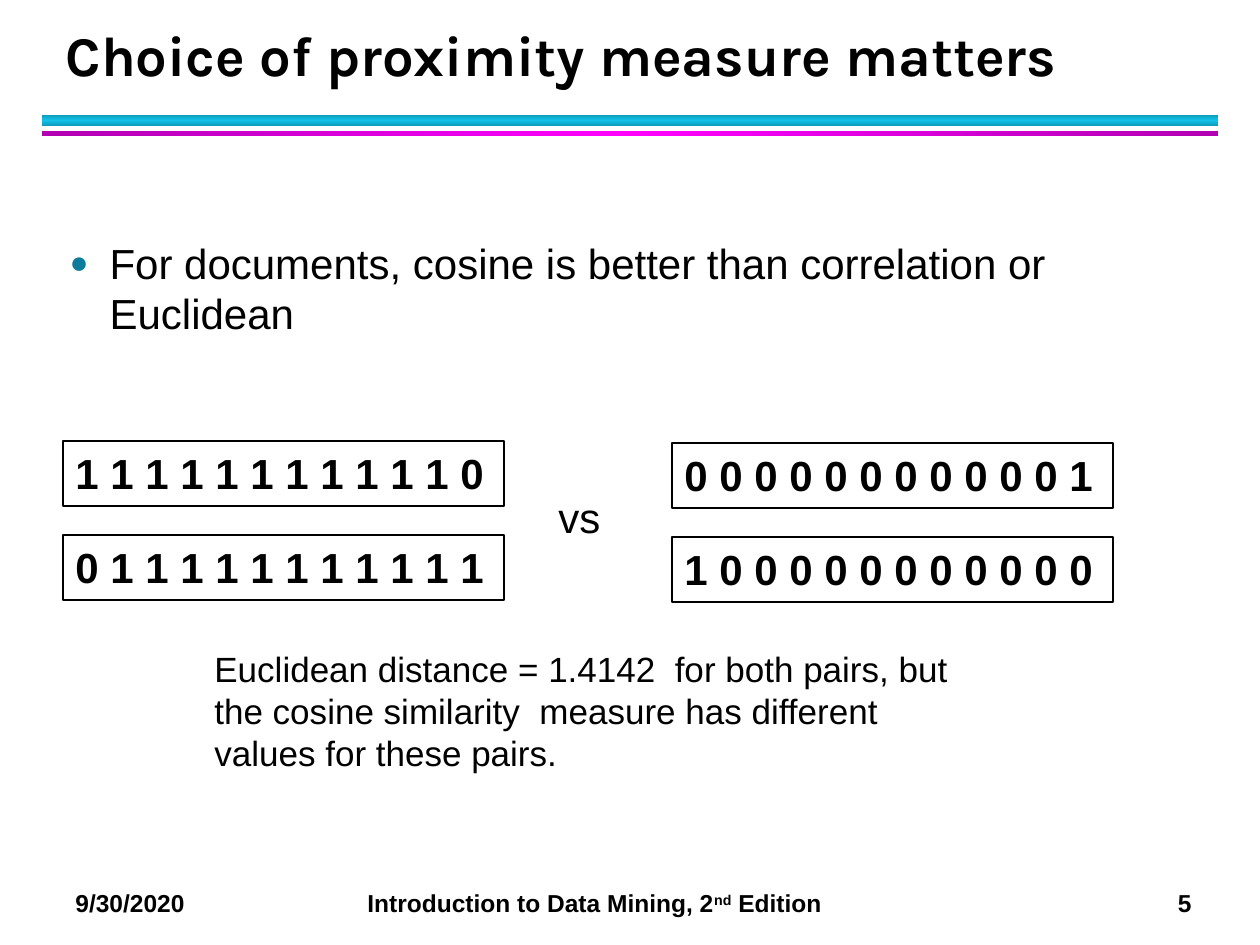
from lxml import etree
from pptx import Presentation
from pptx import util as u
from pptx.dml.color import RGBColor
from pptx.enum import shapes, text
from pptx.oxml import ns

# Content
TITLE = "Choice of proximity measure matters"
POINT = "For documents, cosine is better than correlation or Euclidean"
PAIRS = [  # left, top, the two vectors
    (63, 441, ["1 1 1 1 1 1 1 1 1 1 1 0", "0 1 1 1 1 1 1 1 1 1 1 1"]),
    (672, 443, ["0 0 0 0 0 0 0 0 0 0 0 1", "1 0 0 0 0 0 0 0 0 0 0 0"]),
]
NOTE = ("Euclidean distance = 1.4142  for both pairs, but the cosine similarity"
        "  measure has different values for these pairs.")
FOOTER = ["9/30/2020\tIntroduction to Data Mining, 2", "nd", " Edition\t5"]
FOOTER_TABS = [(292, "l"), (1116, "r")]

COLORS = {"ink": "000000", "bullet": "0C7B9C",
          "teal edge": "0E9BBA", "teal": "12C2E9",
          "magenta edge": "B200B2", "magenta": "FF00FF"}
RULES = [  # top, height, color, gradient angle
    (115, 11, "teal", 90),
    (131, 5, "magenta", 0),
]
VECTOR_SIZE, VECTOR_STEP = (441, 65), 94


def px(n):
    return u.Emu(n * 914400 // 126)


def color(name):
    return RGBColor.from_string(COLORS[name])


def add_xml(parent, tag, **attrs):
    return etree.SubElement(parent, ns.qn(tag), attrs)


def place(part, left, top, width, height):
    part.left, part.top = px(left), px(top)
    part.width, part.height = px(width), px(height)


def add_run(paragraph, words, size, bold=False, font="Arial"):
    run = paragraph.add_run()
    run.text = words
    run.font.size, run.font.bold, run.font.name = u.Pt(size), bold, font
    run.font.color.rgb = color("ink")
    return run


def first_paragraph(part):
    frame = part.text_frame
    frame.word_wrap = True
    frame.auto_size = text.MSO_AUTO_SIZE.NONE
    paragraph = frame.paragraphs[0]
    paragraph.alignment = text.PP_ALIGN.LEFT
    return paragraph


def add_label(slide, box, words, size):
    label = slide.shapes.add_textbox(*map(px, box))
    add_run(first_paragraph(label), words, size)


def add_rectangle(slide, *box):
    rectangle = slide.shapes.add_shape(shapes.MSO_SHAPE.RECTANGLE, *map(px, box))
    rectangle.shadow.inherit = False
    return rectangle


def add_rule(slide, top, height, name, angle):
    rule = add_rectangle(slide, 42, top, 1176, height)
    rule.line.fill.background()
    rule.fill.gradient()
    rule.fill.gradient_angle = angle
    stops = next(rule.element.iter(ns.qn("a:gsLst")))
    for stop in list(stops):
        stops.remove(stop)
    for position, shade in [(0, name + " edge"), (50, name), (100, name + " edge")]:
        stop = add_xml(stops, "a:gs", pos=str(position * 1000))
        add_xml(stop, "a:srgbClr", val=COLORS[shade])


def add_vector(slide, left, top, digits):
    vector = add_rectangle(slide, left, top, *VECTOR_SIZE)
    vector.fill.background()
    vector.line.color.rgb = color("ink")
    vector.line.width = u.Pt(1)
    paragraph = first_paragraph(vector)
    vector.text_frame.vertical_anchor = text.MSO_ANCHOR.TOP
    add_run(paragraph, digits, 24, bold=True)


def add_footer(slide):
    footer = slide.shapes.add_textbox(*map(px, (63, 882, 1176, 43)))
    paragraph = first_paragraph(footer)
    tabs = add_xml(paragraph._p.get_or_add_pPr(), "a:tabLst")
    for position, side in FOOTER_TABS:
        add_xml(tabs, "a:tab", pos=str(px(position)), algn=side)
    runs = [add_run(paragraph, words, 14, bold=True) for words in FOOTER]
    runs[1].font._element.set("baseline", "30000")


def fill_title(title):
    place(title, 53, 21, 1142, 73)
    paragraph = first_paragraph(title)
    title.text_frame.vertical_anchor = text.MSO_ANCHOR.BOTTOM
    paragraph.line_spacing = u.Pt(36)
    add_run(paragraph, TITLE, 32, bold=True, font="Karla")


def fill_body(body):
    place(body, 57, 157, 1147, 715)
    paragraph = first_paragraph(body)
    body.text_frame.margin_top = px(80)
    paragraph.space_before, paragraph.space_after = u.Pt(0), u.Pt(4)
    properties = paragraph._p.get_or_add_pPr()
    properties.set("marL", str(px(40)))
    properties.set("indent", str(-px(40)))
    add_xml(add_xml(properties, "a:buClr"), "a:srgbClr", val=COLORS["bullet"])
    add_xml(properties, "a:buSzPct", val="75000")
    add_xml(properties, "a:buFont", typeface="Arial")
    add_xml(properties, "a:buChar", char="●")
    add_run(paragraph, POINT, 24)


def main():
    deck = Presentation()
    deck.slide_width, deck.slide_height = u.Inches(10), u.Inches(7.5)
    slide = deck.slides.add_slide(deck.slide_layouts[1])

    # Frame of the slide
    for rule in RULES:
        add_rule(slide, *rule)
    add_footer(slide)

    # Title and bullet
    fill_title(slide.shapes.title)
    fill_body(slide.placeholders[1])

    # Two pairs of vectors
    for left, top, vectors in PAIRS:
        for row, digits in enumerate(vectors):
            add_vector(slide, left, top + row * VECTOR_STEP, digits)
    add_label(slide, (546, 485, 77, 84), "vs", 24)

    # Conclusion
    add_label(slide, (202, 641, 766, 140), NOTE, 20)
    deck.save("out.pptx")


if __name__ == "__main__":
    main()
